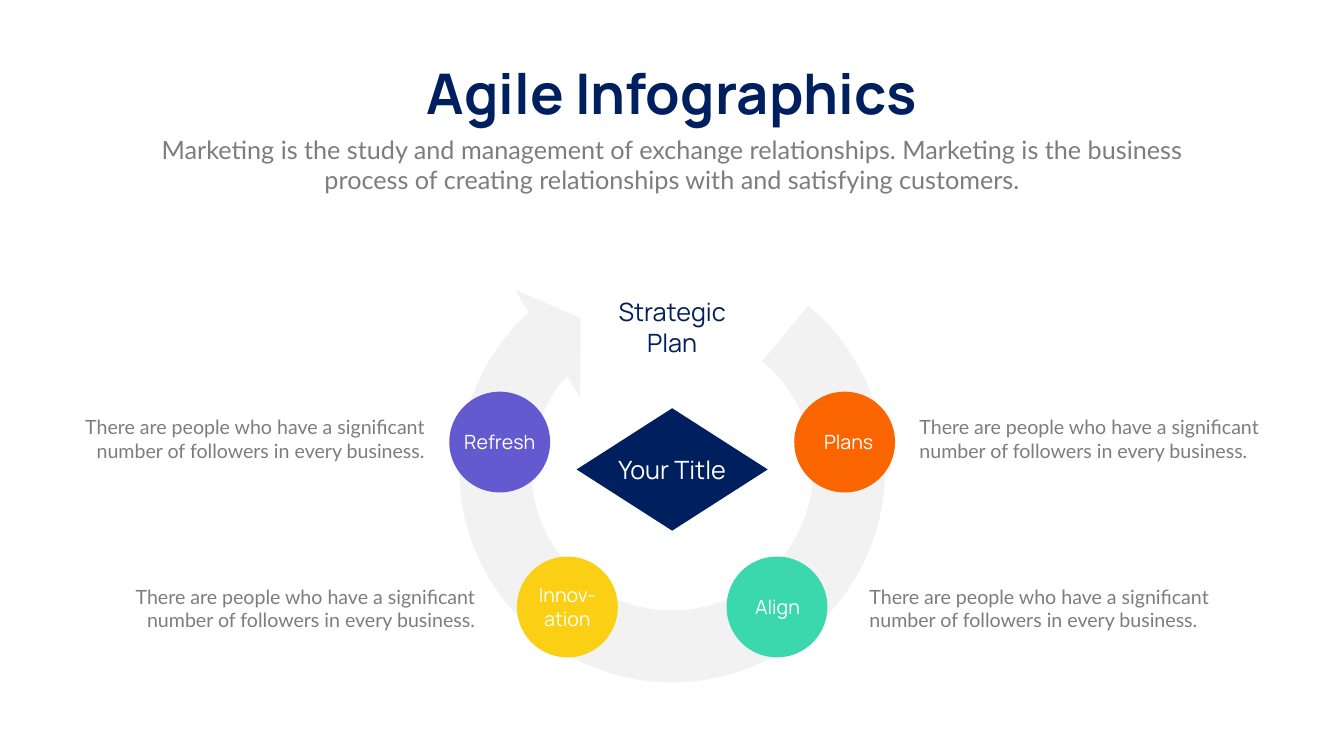
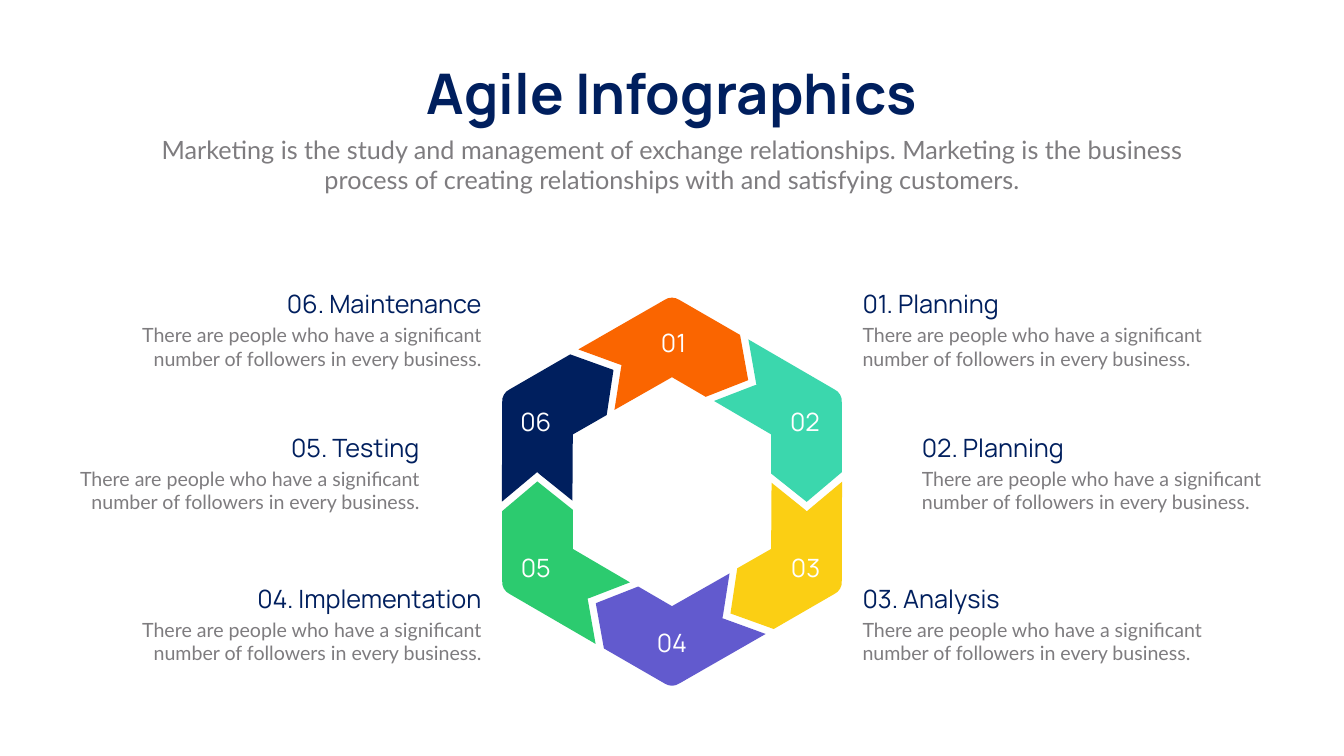
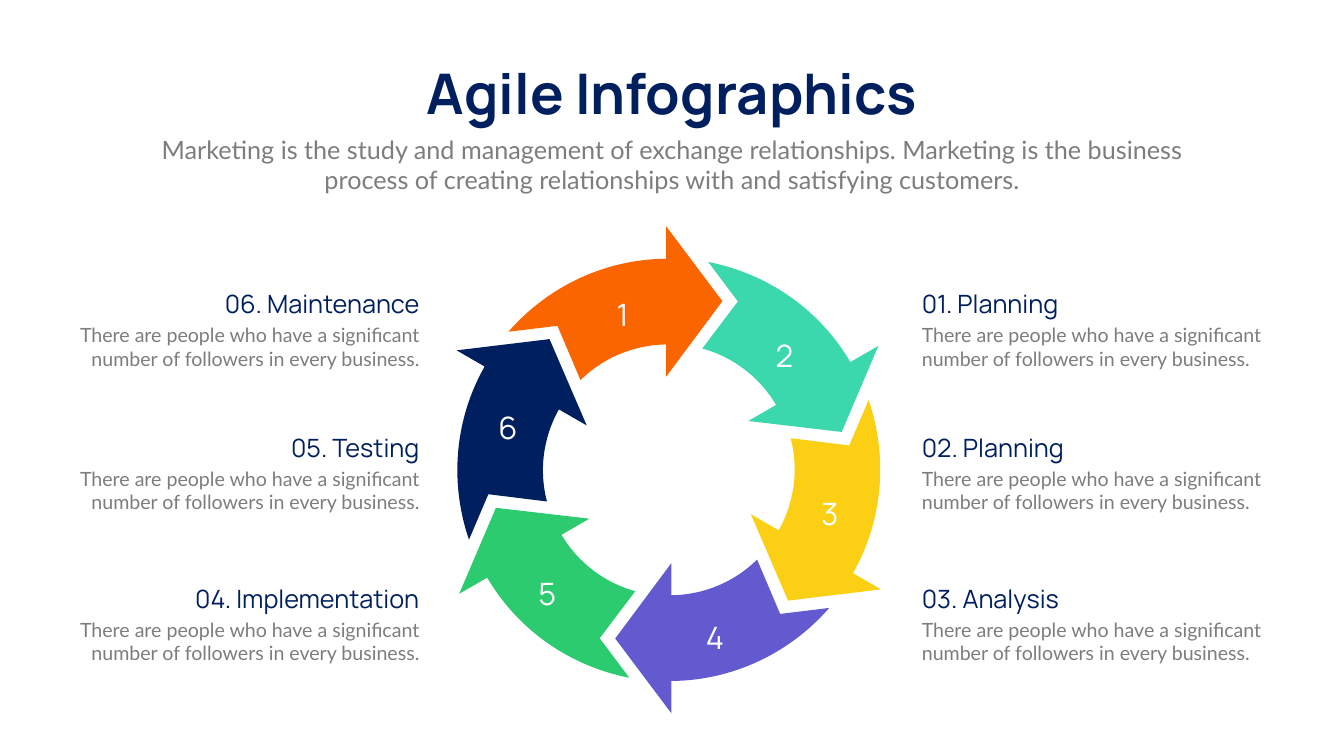
import math

import pptx
import pptx.dml.color
import pptx.enum.shapes
import pptx.enum.text
import pptx.oxml.ns
import pptx.util

Cm = pptx.util.Cm
RGBColor = pptx.dml.color.RGBColor
SHAPE = pptx.enum.shapes.MSO_SHAPE
ALIGN = pptx.enum.text.PP_ALIGN
ANCHOR = pptx.enum.text.MSO_ANCHOR
AUTO_SIZE = pptx.enum.text.MSO_AUTO_SIZE

NAVY = RGBColor(0x00, 0x1F, 0x5E)
GRAY = RGBColor(0x7E, 0x7C, 0x7F)
LIGHT_GRAY = RGBColor(0xF2, 0xF2, 0xF2)
WHITE = RGBColor(0xFF, 0xFF, 0xFF)
ORANGE = RGBColor(0xFA, 0x65, 0x00)
TEAL = RGBColor(0x3B, 0xD7, 0xAD)
YELLOW = RGBColor(0xFB, 0xCF, 0x14)
PURPLE = RGBColor(0x62, 0x5A, 0xCE)
GREEN = RGBColor(0x2C, 0xCB, 0x6F)
STEP_COLORS = [ORANGE, TEAL, YELLOW, PURPLE, GREEN, NAVY]

HEADING_FONT = "Manrope"
BODY_FONT = "Lato"

TITLE = "Agile Infographics"
SUBTITLE = (
    "Marketing is the study and management of exchange relationships. Marketing is "
    "the business process of creating relationships with and satisfying customers."
)
NOTE = "There are people who have a significant number of followers in every business."
RIGHT_HEADINGS = ["01. Planning", "02. Planning", "03. Analysis"]
LEFT_HEADINGS = ["06. Maintenance", "05. Testing", "04. Implementation"]
ROW_TOPS = [14.4, 21.64, 29.26]
NOTE_WIDTH = 19.25


def place(shape, left, top, width, height):
    """Move and size a shape, in centimetres."""
    shape.left, shape.top = Cm(left), Cm(top)
    shape.width, shape.height = Cm(width), Cm(height)


def write(shape, text, size, color, font=HEADING_FONT, align=ALIGN.CENTER, bold=False):
    """Put one formatted paragraph into a shape and return the paragraph."""
    frame = shape.text_frame
    frame.text = text
    frame.word_wrap = True
    frame.auto_size = AUTO_SIZE.SHAPE_TO_FIT_TEXT
    frame.vertical_anchor = ANCHOR.TOP
    paragraph = frame.paragraphs[0]
    paragraph.alignment = align
    paragraph.space_before = pptx.util.Pt(0)
    paragraph.font.name = font
    paragraph.font.size = pptx.util.Pt(size)
    paragraph.font.bold = bold
    paragraph.font.color.rgb = color
    return paragraph


def add_text(slide, box, *args, **style):
    """Add a wrapped text box at (left, top, width, height)."""
    shape = slide.shapes.add_textbox(*map(Cm, box))
    paragraph = write(shape, *args, **style)
    return shape, paragraph


def paint(shape, color):
    """Give a shape a flat fill without line or shadow."""
    shape.shadow.inherit = False
    shape.fill.solid()
    shape.fill.fore_color.rgb = color
    shape.line.fill.background()


def add_flat_shape(slide, kind, center_x, center_y, width, height, color):
    """Add a flat preset shape around a centre."""
    box = (center_x - width / 2, center_y - height / 2, width, height)
    shape = slide.shapes.add_shape(kind, *map(Cm, box))
    paint(shape, color)
    return shape


def add_titled_slide(presentation):
    """Add a slide with the shared title and subtitle."""
    slide = presentation.slides.add_slide(presentation.slide_layouts[0])
    title, subtitle = slide.placeholders
    place(title, 20.24, 2.84, 27.25, 3.68)
    write(title, TITLE, 80, NAVY, bold=True)
    title.text_frame.word_wrap = False
    place(subtitle, 7.42, 6.63, 52.88, 3.33)
    write(subtitle, SUBTITLE, 36, GRAY, font=BODY_FONT)
    return slide


def add_note(slide, edge, top, align, heading=None):
    """Add a note whose aligned side is at edge, under an optional heading."""
    def left_of(width):
        return edge - width if align == ALIGN.RIGHT else edge

    if heading:
        box = (left_of(13.59), top, 13.59, 1.8)
        add_text(slide, box, heading, 36, NAVY, align=align)
        top += 1.75
    box = (left_of(NOTE_WIDTH), top, NOTE_WIDTH, 2.64)
    add_text(slide, box, NOTE, 28, GRAY, font=BODY_FONT, align=align)


def add_note_columns(slide, left_edges, right_edges):
    """Add the six headed notes on both sides of a ring."""
    columns = [
        (RIGHT_HEADINGS, right_edges, ALIGN.LEFT),
        (LEFT_HEADINGS, left_edges, ALIGN.RIGHT),
    ]
    for headings, edges, align in columns:
        for heading, edge, top in zip(headings, edges, ROW_TOPS):
            add_note(slide, edge, top, align, heading)


def bend(shape, curve_starts):
    """Turn three line segments into one Bézier curve at each given point index."""
    lines = list(shape.element.iter(pptx.oxml.ns.qn("a:lnTo")))
    for start in curve_starts:
        curve, *others = lines[start - 1:start + 2]
        curve.tag = pptx.oxml.ns.qn("a:cubicBezTo")
        for line in others:
            curve.append(line[0])
            line.getparent().remove(line)


def add_ring(slide, center_x, center_y, outline, curve_starts):
    """Repeat the first step's outline around a centre, one turn of 60 degrees each."""
    for step, color in enumerate(STEP_COLORS):
        turn = math.radians(60 * step)
        cosine, sine = math.cos(turn), math.sin(turn)
        points = [
            (Cm(center_x + x * cosine - y * sine), Cm(center_y + x * sine + y * cosine))
            for x, y in outline
        ]
        builder = slide.shapes.build_freeform(*points[0])
        builder.add_line_segments(points[1:], close=True)
        shape = builder.convert_to_shape()
        bend(shape, curve_starts)
        paint(shape, color)


def add_cycle(slide, center_x, center_y):
    """Add the open arrow with its four stages and the central title."""
    arrow = add_flat_shape(
        slide, SHAPE.CIRCULAR_ARROW, center_x, center_y, 24.16, 24.16, LIGHT_GRAY
    )
    arrow.rotation = 240
    for index, value in enumerate([0.15, 8.164, 207.167, 41.858, 0.131]):
        arrow.adjustments[index] = value

    stages = [
        ("Plans", 8.69, -1.38, ORANGE, 0.2, 6.96, 1.45),
        ("Align", 5.28, 6.93, TEAL, 0.03, 6.96, 1.45),
        ("Innov-ation", -5.28, 6.93, YELLOW, 0, 4.39, 2.64),
        ("Refresh", -8.69, -1.38, PURPLE, 0, 6.96, 1.45),
    ]
    for _, x, y, color, *_ in stages:
        add_flat_shape(slide, SHAPE.OVAL, center_x + x, center_y + y, 5.08, 5.08, color)

    label_left = center_x - 3.48
    add_text(slide, (label_left, center_y - 8.83, 6.96, 3.33), "Strategic Plan", 36, NAVY)
    add_flat_shape(slide, SHAPE.DIAMOND, center_x, center_y, 9.63, 6.17, NAVY)
    add_text(slide, (label_left, center_y - 0.9, 6.96, 1.8), "Your Title", 36, WHITE)
    for text, x, y, _, shift, width, height in stages:
        left, top = center_x + x + shift - width / 2, center_y + y - height / 2
        add_text(slide, (left, top, width, height), text, 28, WHITE)


def add_hexagon(slide, center_x, center_y):
    """Add the six-part hexagon with its numbers."""
    outline = [
        (3.43, -7.9), (3.84, -5.62), (1.7, -4.78), (0, -5.77), (-2.9, -4.12),
        (-2.57, -6.23), (-2.54, -6.38), (-2.69, -6.43), (-4.72, -7.17),
        (-0.38, -9.66), (-0.15, -9.82), (0.15, -9.82), (0.38, -9.66),
    ]
    add_ring(slide, center_x, center_y, outline, [10])
    offsets = [
        (0.08, -7.53), (6.7, -3.54), (6.73, 3.8),
        (0, 7.61), (-6.86, 3.8), (-6.86, -3.54),
    ]
    for number, (x, y) in enumerate(offsets, 1):
        box = (center_x + x - 1.05, center_y + y - 0.9, 2.1, 1.8)
        shape, _ = add_text(slide, box, f"{number:02}", 36, WHITE)
        shape.text_frame.word_wrap = False
        shape.text_frame.vertical_anchor = ANCHOR.MIDDLE


def add_arrow_wheel(slide, center_x, center_y):
    """Add the wheel of six curved arrows with its numbers."""
    outline = [
        (2.7, -8.5), (-0.13, -12.27), (-0.13, -10.64),
        (-3.18, -10.62), (-6.07, -9.27), (-8.08, -6.96),
        (-5.61, -7.26), (-4.45, -4.52),
        (-3.3, -5.66), (-1.75, -6.3), (-0.13, -6.32), (-0.13, -4.7),
    ]
    add_ring(slide, center_x, center_y, outline, [3, 8])
    offsets = [
        (-2.32, -7.97), (5.83, -5.91), (8.12, 2.07),
        (2.33, 8.29), (-6.13, 6.08), (-8.11, -2.25),
    ]
    for number, (x, y) in enumerate(offsets, 1):
        box = (center_x + x - 1.59, center_y + y - 0.9, 3.18, 1.8)
        shape, paragraph = add_text(slide, box, str(number), 44, WHITE)
        paragraph.line_spacing = 1.05
        frame = shape.text_frame
        frame.auto_size = AUTO_SIZE.NONE
        frame.margin_left = frame.margin_right = frame.margin_top = frame.margin_bottom = 0


def build_cycle_slide(presentation):
    """Build the slide with the open cycle arrow."""
    slide = add_titled_slide(presentation)
    add_cycle(slide, 33.87, 23.66)
    for top, left_edge, right_edge in [(20.8, 21.64, 46.08), (29.34, 24.18, 43.56)]:
        add_note(slide, right_edge, top, ALIGN.LEFT)
        add_note(slide, left_edge, top, ALIGN.RIGHT)


def build_hexagon_slide(presentation):
    """Build the slide with the hexagon."""
    slide = add_titled_slide(presentation)
    add_hexagon(slide, 33.86, 24.78)
    add_note_columns(slide, [24.51, 21.38, 24.51], [43.21, 46.2, 43.21])


def build_wheel_slide(presentation):
    """Build the slide with the arrow wheel."""
    slide = add_titled_slide(presentation)
    add_arrow_wheel(slide, 33.7, 23.68)
    add_note_columns(slide, [21.38] * 3, [46.2] * 3)


def main():
    """Build and save the presentation."""
    presentation = pptx.Presentation()
    presentation.slide_width = Cm(67.72)
    presentation.slide_height = Cm(38.1)
    build_cycle_slide(presentation)
    build_hexagon_slide(presentation)
    build_wheel_slide(presentation)
    presentation.save("out.pptx")


if __name__ == "__main__":
    main()
